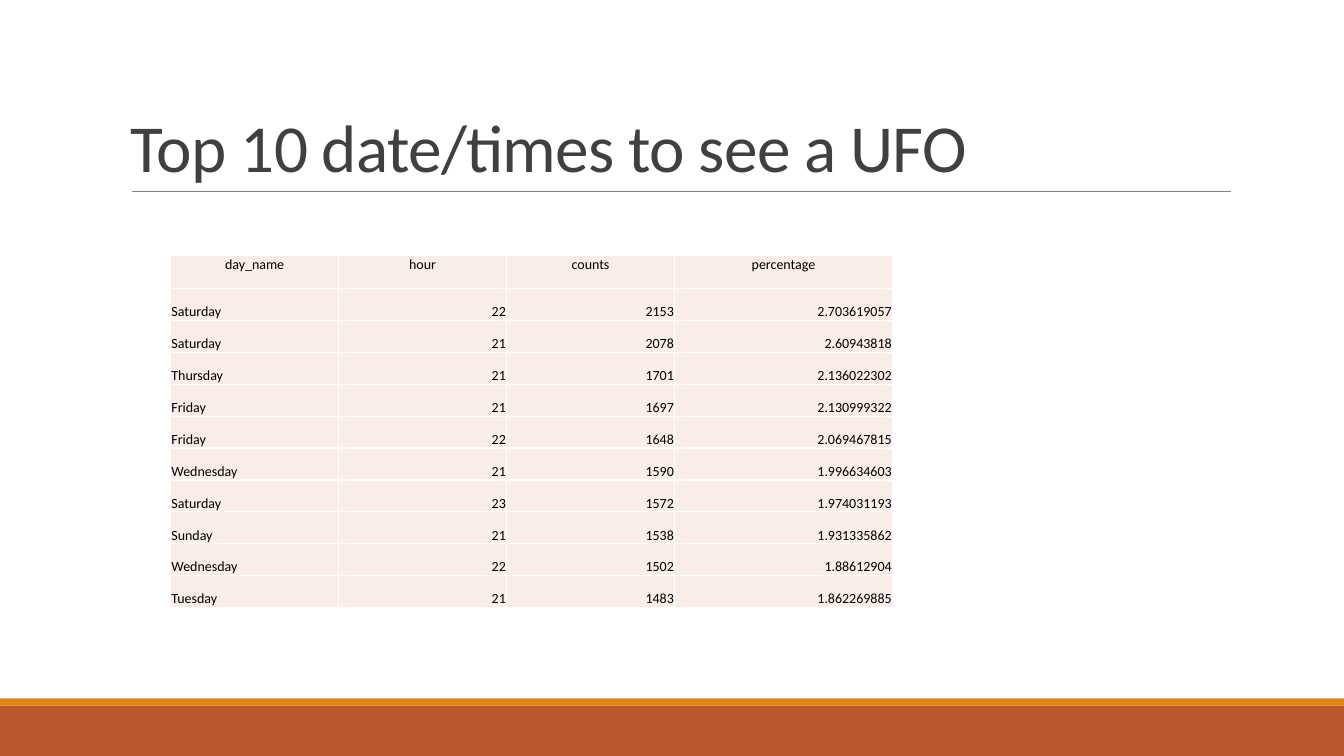
from lxml.etree import SubElement
from pptx import Presentation
from pptx.dml.color import RGBColor
from pptx.enum.shapes import MSO_CONNECTOR as Connector, MSO_SHAPE as Preset
from pptx.enum.text import MSO_ANCHOR as Anchor, PP_ALIGN as Align
from pptx.oxml.ns import qn
from pptx.util import Cm, Pt

COLORS = {
    "band": "BD582C",
    "accent": "E48312",
    "rule": "808080",
    "title": "404040",
    "cell": "FAEDE7",
    "border": "FFFFFF",
    "text": "000000",
}
FONT = "Calibri"
WIDTH, HEIGHT = 33.87, 19.05
HEADERS = ("day_name", "hour", "counts", "percentage")
SIGHTINGS = (
    ("Saturday", "22", "2153", "2.703619057"),
    ("Saturday", "21", "2078", "2.60943818"),
    ("Thursday", "21", "1701", "2.136022302"),
    ("Friday", "21", "1697", "2.130999322"),
    ("Friday", "22", "1648", "2.069467815"),
    ("Wednesday", "21", "1590", "1.996634603"),
    ("Saturday", "23", "1572", "1.974031193"),
    ("Sunday", "21", "1538", "1.931335862"),
    ("Wednesday", "22", "1502", "1.88612904"),
    ("Tuesday", "21", "1483", "1.862269885"),
)


def color(name):
    return RGBColor.from_string(COLORS[name])


def add_run(paragraph, text, size, color_name):
    run = paragraph.add_run()
    run.text = text
    run.font.name = FONT
    run.font.size = Pt(size)
    run.font.bold = False
    run.font.color.rgb = color(color_name)
    return run


def add_bar(slide, left, top, width, height, color_name):
    shape = slide.shapes.add_shape(Preset.RECTANGLE, Cm(left), Cm(top), Cm(width), Cm(height))
    shape.shadow.inherit = False
    shape.fill.solid()
    shape.fill.fore_color.rgb = color(color_name)
    shape.line.fill.background()


def add_footer(slide, left, top, width, height):
    accent_height = 0.18
    add_bar(slide, left, top + accent_height, width, height - accent_height, "band")
    add_bar(slide, left, top, width, accent_height, "accent")


def add_title(slide, left, top, width, height, text):
    bottom = top + height
    rule = slide.shapes.add_connector(
        Connector.STRAIGHT, Cm(left + 0.28), Cm(bottom), Cm(left + width + 0.02), Cm(bottom)
    )
    rule.line.color.rgb = color("rule")
    rule.line.width = Pt(0.5)
    SubElement(rule.element.spPr, qn("a:effectLst"))

    box = slide.shapes.add_textbox(Cm(left), Cm(top), Cm(width), Cm(height))
    frame = box.text_frame
    frame.word_wrap = True
    frame.vertical_anchor = Anchor.BOTTOM
    paragraph = frame.paragraphs[0]
    paragraph.line_spacing = 0.85
    run = add_run(paragraph, text, 48, "title")
    run.font.element.set("spc", "-50") if hasattr(run.font, "element") else run._r.get_or_add_rPr().set("spc", "-50")


def add_borders(cell):
    properties = cell._tc.get_or_add_tcPr()
    for side in ("lnL", "lnR", "lnT", "lnB"):
        border = SubElement(properties, qn(f"a:{side}"), w=str(Pt(1)))
        fill = SubElement(border, qn("a:solidFill"))
        SubElement(fill, qn("a:srgbClr"), val=COLORS["border"])


def fill_cell(cell, text, alignment, anchor):
    add_borders(cell)
    cell.fill.solid()
    cell.fill.fore_color.rgb = color("cell")
    cell.margin_left = cell.margin_right = cell.margin_top = Cm(0.02)
    cell.margin_bottom = Cm(0)
    cell.vertical_anchor = anchor
    paragraph = cell.text_frame.paragraphs[0]
    paragraph.alignment = alignment
    add_run(paragraph, text, 10, "text")


def add_sightings_table(slide, left, top, width, height):
    header_height, last_width = 0.84, 5.49
    rows = (HEADERS, *SIGHTINGS)
    table = slide.shapes.add_table(
        len(rows), len(HEADERS), Cm(left), Cm(top), Cm(width), Cm(height)
    ).table
    for index, column in enumerate(table.columns):
        is_last = index == len(HEADERS) - 1
        column.width = Cm(last_width if is_last else (width - last_width) / (len(HEADERS) - 1))
    for row_index, values in enumerate(rows):
        is_header = row_index == 0
        row_height = header_height if is_header else (height - header_height) / len(SIGHTINGS)
        table.rows[row_index].height = Cm(row_height)
        for column_index, text in enumerate(values):
            body_alignment = Align.RIGHT if column_index else Align.LEFT
            fill_cell(
                table.cell(row_index, column_index),
                text,
                Align.CENTER if is_header else body_alignment,
                Anchor.TOP if is_header else Anchor.BOTTOM,
            )


def main():
    presentation = Presentation()
    presentation.slide_width = Cm(WIDTH)
    presentation.slide_height = Cm(HEIGHT)
    slide = presentation.slides.add_slide(presentation.slide_layouts[6])
    add_footer(slide, 0, 17.6, WIDTH, HEIGHT - 17.6)
    add_title(slide, 3.05, 0.79, 27.94, 4.04, "Top 10 date/times to see a UFO")
    add_sightings_table(slide, 4.3, 6.43, 18.19, 8.88)
    presentation.save("out.pptx")


if __name__ == "__main__":
    main()
